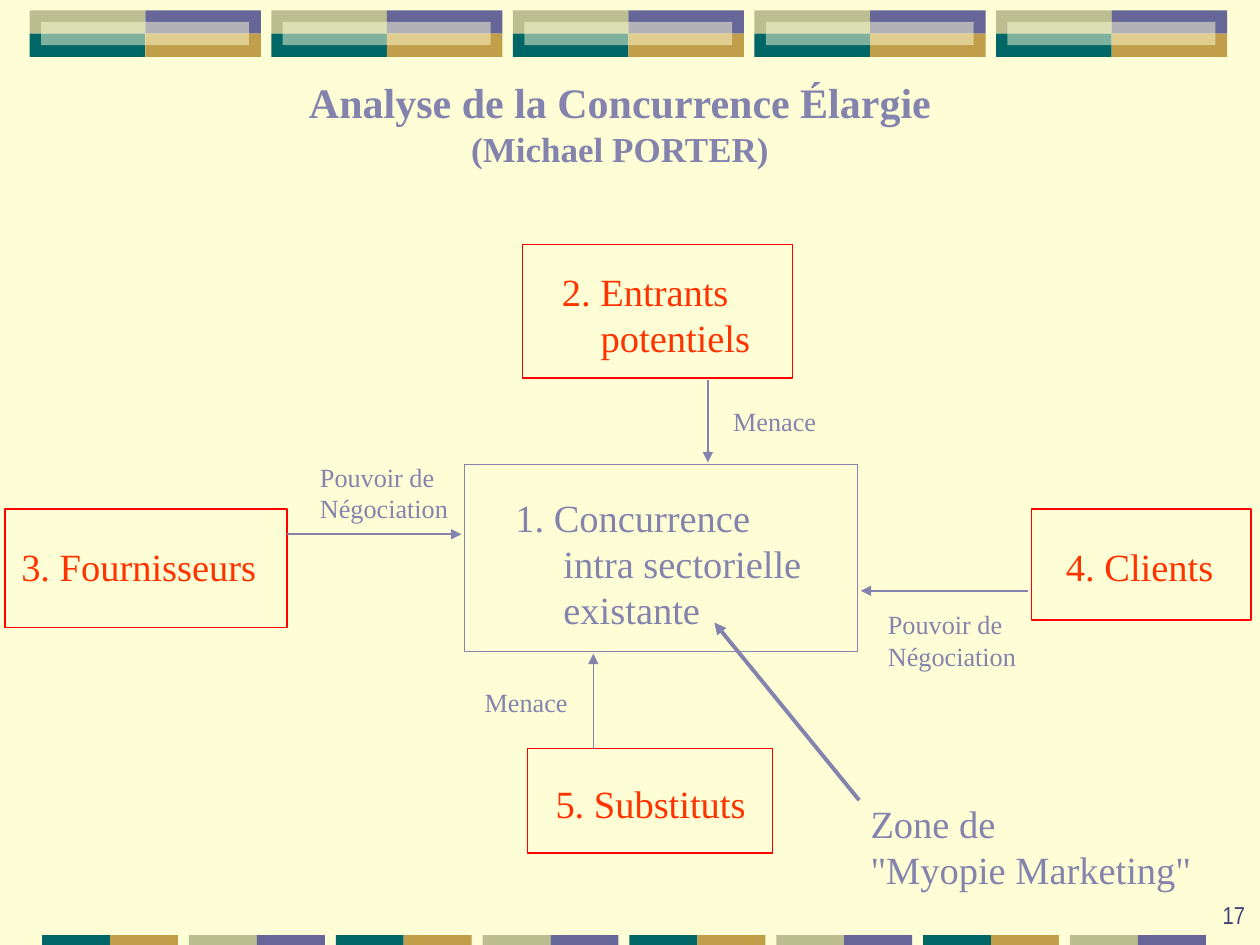
from lxml import etree
from pptx import Presentation
from pptx.dml.color import RGBColor
from pptx.enum import shapes, text
from pptx.oxml import ns
from pptx.util import Cm, Pt

CREAM = RGBColor(0xFE, 0xFE, 0xD6)
LAVENDER = RGBColor(0x83, 0x83, 0xAD)
RED = RGBColor(0xFF, 0x00, 0x00)
ORANGE = RGBColor(0xFF, 0x33, 0x00)
PURPLE = RGBColor(0x66, 0x66, 0x99)
GOLD = RGBColor(0xC0, 0x9E, 0x4A)
TEAL = RGBColor(0x00, 0x66, 0x66)
SAGE = RGBColor(0xBA, 0xBE, 0x90)
NAVY = RGBColor(0x40, 0x41, 0x76)
SERIF = "Times New Roman"


def add_block(slide, left, top, width, height, fill, line=None):
    shape = slide.shapes.add_shape(
        shapes.MSO_SHAPE.RECTANGLE, Cm(left), Cm(top), Cm(width), Cm(height))
    shape.shadow.inherit = False
    shape.fill.solid()
    shape.fill.fore_color.rgb = fill
    if line is None:
        shape.line.fill.background()
    else:
        shape.line.color.rgb = line
        shape.line.width = Pt(0.75)
    return shape


def make_half_transparent(shape):
    color = shape.fill._xPr.find(".//" + ns.qn("a:srgbClr"))
    etree.SubElement(color, ns.qn("a:alpha"), val="50000")


def format_paragraph(paragraph, size, color, name=SERIF, bold=False,
                     alignment=text.PP_ALIGN.LEFT):
    paragraph.alignment = alignment
    font = paragraph.font
    font.name, font.size, font.bold = name, Pt(size), bold
    font.color.rgb = color


def add_top_band(slide):
    width, height, left_edge, top = 2.33, 0.47, 0.6, 0.21
    for index in range(5):
        left = left_edge + index * 4.87
        for row, colors in enumerate(((SAGE, PURPLE), (TEAL, GOLD))):
            for column, color in enumerate(colors):
                add_block(slide, left + column * width, top + row * height,
                          width, height, color)
        make_half_transparent(
            add_block(slide, left + 0.23, top + 0.23, 4.19, height, CREAM))


def add_bottom_band(slide):
    width = 1.37
    pairs = ((TEAL, GOLD), (SAGE, PURPLE))
    for index in range(8):
        left = 0.85 + index * 2.96
        for column, color in enumerate(pairs[index % 2]):
            add_block(slide, left + column * width, 18.85, width, 0.2, color)


def add_title(slide):
    title = slide.shapes.title
    title.left, title.top = Cm(5.97), Cm(1.42)
    title.width, title.height = Cm(13.06), Cm(2.13)
    frame = title.text_frame
    frame.text = "Analyse de la Concurrence Élargie\n(Michael PORTER)"
    frame.word_wrap = True
    frame.auto_size = text.MSO_AUTO_SIZE.NONE
    frame.vertical_anchor = text.MSO_ANCHOR.TOP
    for paragraph, size in zip(frame.paragraphs, (24, 20)):
        format_paragraph(paragraph, size, LAVENDER, bold=True,
                         alignment=text.PP_ALIGN.CENTER)


def add_force(slide, wording, box, inset, line, color, hanging=0):
    shape = add_block(slide, *box, CREAM, line)
    frame = shape.text_frame
    frame.word_wrap = True
    frame.vertical_anchor = text.MSO_ANCHOR.TOP
    frame.margin_left, frame.margin_top = Cm(inset[0]), Cm(inset[1])
    frame.margin_right = frame.margin_bottom = 0
    paragraph = frame.paragraphs[0]
    paragraph.text = wording
    if hanging:
        properties = paragraph._p.get_or_add_pPr()
        properties.set("marL", str(Cm(hanging)))
        properties.set("indent", str(-Cm(hanging)))
    format_paragraph(paragraph, 22, color)


def add_label(slide, wording, left, top, width, height, size):
    label = slide.shapes.add_textbox(Cm(left), Cm(top), Cm(width), Cm(height))
    frame = label.text_frame
    frame.text = wording
    frame.word_wrap = True
    for paragraph in frame.paragraphs:
        format_paragraph(paragraph, size, LAVENDER)


def add_arrow(slide, start, end, width):
    arrow = slide.shapes.add_connector(
        shapes.MSO_CONNECTOR.STRAIGHT, *map(Cm, start + end))
    arrow.line.color.rgb = LAVENDER
    arrow.line.width = Pt(width)
    etree.SubElement(arrow.line._get_or_add_ln(), ns.qn("a:tailEnd"),
                     type="triangle")
    etree.SubElement(arrow._element.spPr, ns.qn("a:effectLst"))


def add_page_number(slide):
    box = slide.shapes.add_textbox(Cm(20.07), Cm(17.6), Cm(5.28), Cm(1.27))
    frame = box.text_frame
    frame.word_wrap = True
    frame.vertical_anchor = text.MSO_ANCHOR.BOTTOM
    frame.text = "17"
    format_paragraph(frame.paragraphs[0], 14, NAVY, "Arial Narrow",
                     alignment=text.PP_ALIGN.RIGHT)


def main():
    presentation = Presentation()
    presentation.slide_width, presentation.slide_height = Cm(25.4), Cm(19.05)
    slide = presentation.slides.add_slide(presentation.slide_layouts[5])
    slide.background.fill.solid()
    slide.background.fill.fore_color.rgb = CREAM

    add_top_band(slide)
    add_bottom_band(slide)
    add_title(slide)

    add_force(slide, "1. Concurrence\vintra sectorielle\vexistante",
              (9.37, 9.37, 7.92, 3.76), (1.02, 0.58), LAVENDER, LAVENDER, 0.97)
    for wording, box, inset, hanging in (
        ("2. Entrants\vpotentiels", (10.54, 4.93, 5.44, 2.69), (0.79, 0.48), 0.78),
        ("3. Fournisseurs", (0.1, 10.26, 5.69, 2.39), (0.33, 0.69), 0),
        ("4. Clients", (20.8, 10.26, 4.42, 2.24), (0.69, 0.69), 0),
        ("5. Substituts", (10.64, 15.09, 4.93, 2.11), (0.56, 0.64), 0),
    ):
        add_force(slide, wording, box, inset, RED, ORANGE, hanging)

    for left, top in ((6.2, 9.17), (17.65, 12.14)):
        add_label(slide, "Pouvoir de\nNégociation", left, top, 3.3, 1.52, 15)
    for left, top in ((14.53, 8.05), (9.52, 13.72)):
        add_label(slide, "Menace", left, top, 2.4, 0.89, 15)
    add_label(slide, 'Zone de\n"Myopie Marketing"', 17.3, 16, 7.6, 2.13, 22)

    for start, end, width in (
        ((5.79, 10.77), (9.3, 10.77), 1),
        ((20.73, 11.91), (17.35, 11.91), 1),
        ((11.96, 15.09), (11.96, 13.18), 0.75),
        ((14.27, 7.67), (14.27, 9.32), 0.75),
        ((17.32, 16.13), (14.4, 12.55), 2.25),
    ):
        add_arrow(slide, start, end, width)

    add_page_number(slide)
    presentation.save("out.pptx")


if __name__ == "__main__":
    main()
